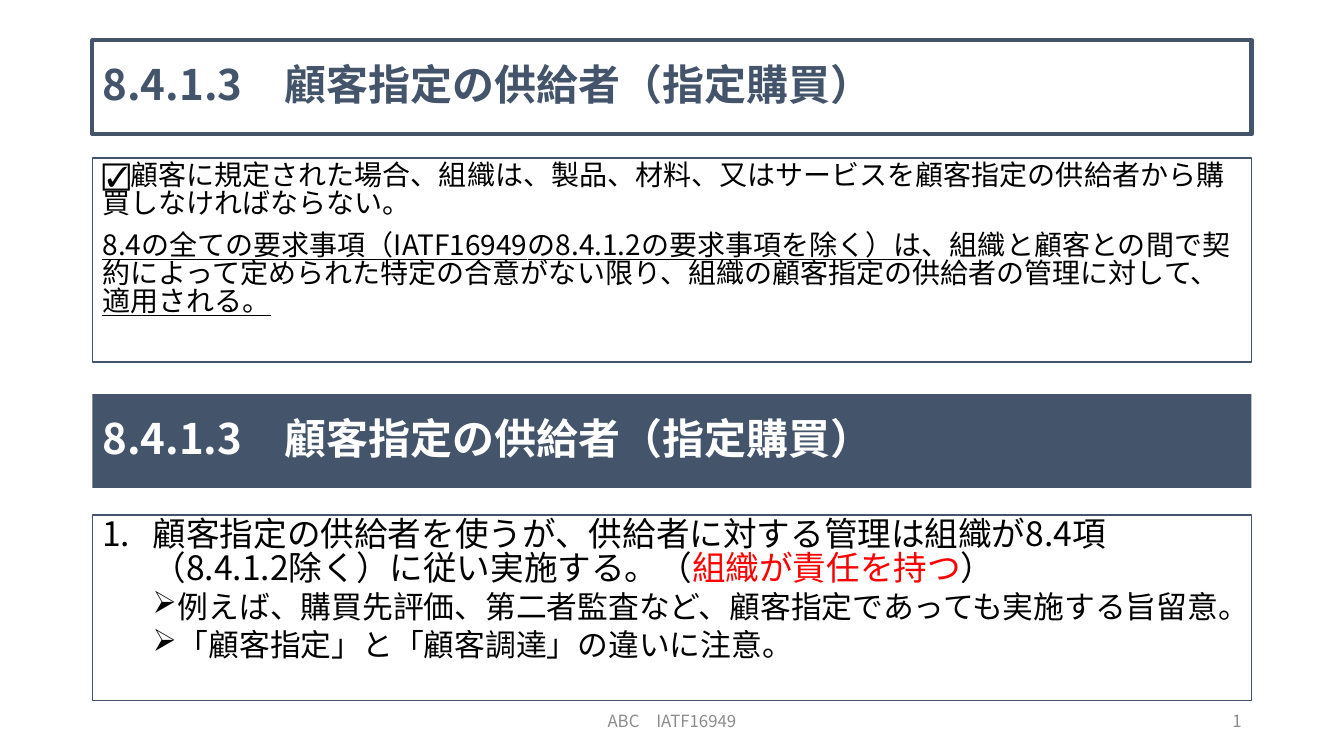
from lxml.etree import SubElement
from pptx import Presentation
from pptx.dml.color import RGBColor
from pptx.enum.shapes import MSO_SHAPE
from pptx.enum.text import MSO_ANCHOR, MSO_AUTO_SIZE, PP_ALIGN
from pptx.oxml.ns import qn
from pptx.util import Pt

# Content: a paragraph is a list of (text, format) spans
HEADING = "8.4.1.3　顧客指定の供給者（指定購買）"
UNDERLINED = {"underline": True}
RED = {"color": "red"}
REQUIREMENTS = [
    [("☑顧客に規定された場合、組織は、製品、材料、又はサービスを顧客指定の供給者から"
      "購買しなければならない。", {})],
    [("8.4の全ての要求事項（IATF16949の8.4.1.2の要求事項を除く）は", UNDERLINED),
     ("、組織と顧客との間で契約によって定められた特定の合意がない限り、"
      "組織の顧客指定の供給者の管理に対して、", {}),
     ("適用される。", UNDERLINED)],
]
GUIDANCE = [
    [("顧客指定の供給者を使うが、供給者に対する管理は組織が8.4項"
      "（8.4.1.2除く）に従い実施する。（", {}),
     ("組織が責任を持つ", RED), ("）", {})],
    [("例えば、購買先評価、第二者監査など、顧客指定であっても実施する旨留意。", {})],
    [("「顧客指定」と「顧客調達」の違いに注意。", {})],
]
FOOTER = "ABC　IATF16949"
PAGE_NUMBER = "1"

# Formats
FONT = "Noto Sans CJK JP"
COLORS = {"navy": "44546A", "white": "FFFFFF", "black": "000000",
          "red": "FF0000", "gray": "8C8C8C"}
PLAIN = {"level": 0, "size": 20, "before": 10, "spacing": 0.83}
NUMBERED = {"level": 0, "size": 24, "before": 10, "spacing": 0.83,
            "left": 36, "hanging": 36, "bullet": ("buAutoNum", "type", "arabicPeriod")}
ARROWED = {"level": 1, "size": 22, "before": 5, "spacing": 0.83,
           "left": 54, "hanging": 18, "bullet": ("buChar", "char", "➢")}
TITLE = {"size": 30, "bold": True, "spacing": 0.9}
SMALL = {"size": 12, "color": "gray"}

# Layout: full-width panels share left edge and width
LEFT, WIDTH = 66, 828
TITLE_HEIGHT = 67
FOOTER_TOP, FOOTER_HEIGHT = 500.5, 29


def rgb(name):
    return RGBColor.from_string(COLORS[name])


def place(box, left, top, width, height):
    for name, value in zip(("left", "top", "width", "height"), (left, top, width, height)):
        setattr(box, name, Pt(value))


def paint(box, fill=None, line=None, weight=1):
    if fill:
        box.fill.solid()
        box.fill.fore_color.rgb = rgb(fill)
    else:
        box.fill.background()
    if line:
        box.line.color.rgb = rgb(line)
        box.line.width = Pt(weight)
    else:
        box.line.fill.background()


def write(box, paragraphs, styles, anchor=MSO_ANCHOR.TOP, align=PP_ALIGN.LEFT):
    frame = box.text_frame
    settings = {"word_wrap": True, "auto_size": MSO_AUTO_SIZE.NONE,
                "vertical_anchor": anchor,
                "margin_left": Pt(7.2), "margin_right": Pt(7.2),
                "margin_top": Pt(3.6), "margin_bottom": Pt(3.6)}
    for name, value in settings.items():
        setattr(frame, name, value)
    for index, (spans, style) in enumerate(zip(paragraphs, styles)):
        para = frame.paragraphs[0] if index == 0 else frame.add_paragraph()
        settings = {"alignment": align, "level": style.get("level", 0),
                    "line_spacing": style.get("spacing", 1.0),
                    "space_before": Pt(style.get("before", 0)), "space_after": Pt(0)}
        for name, value in settings.items():
            setattr(para, name, value)
        # Indents and bullet
        properties = para._p.get_or_add_pPr()
        properties.set("marL", str(Pt(style.get("left", 0))))
        properties.set("indent", str(-Pt(style.get("hanging", 0))))
        if "bullet" in style:
            tag, attribute, value = style["bullet"]
            SubElement(properties, qn("a:" + tag)).set(attribute, value)
        else:
            SubElement(properties, qn("a:buNone"))
        for text, extra in spans:
            look = {"color": "black", **style, **extra}
            span = para.add_run()
            span.text = text
            settings = {"name": FONT, "size": Pt(look["size"]),
                        "bold": look.get("bold", False),
                        "underline": look.get("underline", False)}
            for name, value in settings.items():
                setattr(span.font, name, value)
            span.font.color.rgb = rgb(look["color"])
            SubElement(span._r.get_or_add_rPr(), qn("a:ea")).set("typeface", FONT)


def add_panel(page, top, height):
    box = page.shapes.add_shape(MSO_SHAPE.RECTANGLE, Pt(LEFT), Pt(top), Pt(WIDTH), Pt(height))
    box.shadow.inherit = False
    return box


deck = Presentation()
deck.slide_width, deck.slide_height = Pt(960), Pt(540)
page = deck.slides.add_slide(deck.slide_layouts[1])

# Title and requirement text
title, body = page.shapes.title, page.placeholders[1]
place(title, LEFT, 28.8, WIDTH, TITLE_HEIGHT)
paint(title, "white", "navy", 3)
write(title, [[(HEADING, {"color": "navy"})]], [TITLE], MSO_ANCHOR.MIDDLE)
place(body, LEFT, 113, WIDTH, 145.5)
paint(body, line="navy")
write(body, REQUIREMENTS, [PLAIN] * len(REQUIREMENTS))

# Second heading and guidance list
banner = add_panel(page, 281.5, TITLE_HEIGHT)
paint(banner, "navy")
write(banner, [[(HEADING, {"color": "white"})]], [TITLE], MSO_ANCHOR.MIDDLE)
guidance = add_panel(page, 368, 132.5)
paint(guidance, line="navy")
write(guidance, GUIDANCE, [NUMBERED, ARROWED, ARROWED])

# Footer and page number
for text, left, width, align in [(FOOTER, 318, 324, PP_ALIGN.CENTER),
                                 (PAGE_NUMBER, 678, 216, PP_ALIGN.RIGHT)]:
    box = page.shapes.add_textbox(Pt(left), Pt(FOOTER_TOP), Pt(width), Pt(FOOTER_HEIGHT))
    write(box, [[(text, {})]], [SMALL], MSO_ANCHOR.MIDDLE, align)

deck.save("out.pptx")
